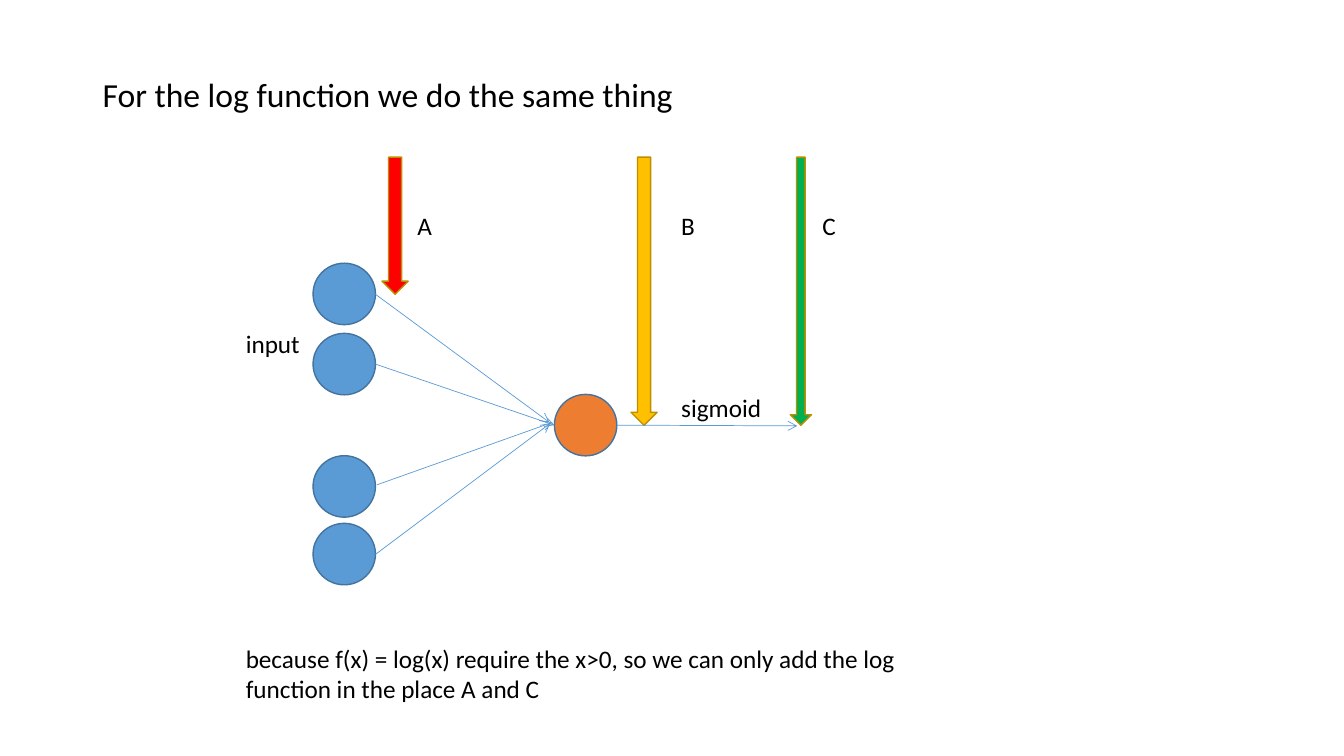
from dataclasses import dataclass

import lxml.etree
import pptx
import pptx.dml.color
import pptx.enum.shapes
import pptx.enum.text
import pptx.oxml.ns
import pptx.slide
import pptx.util

Pt = pptx.util.Pt
SHAPE = pptx.enum.shapes.MSO_SHAPE
ANCHOR = pptx.enum.text.MSO_ANCHOR

COLORS = {
    "text": "000000",
    "blue": "5B9BD5",
    "blue_edge": "43739E",
    "orange": "ED7D31",
    "red": "FF0000",
    "gold": "FFC000",
    "green": "00B050",
    "gold_edge": "BD8E00",
}
NODE_W, NODE_H = 44.6, 43.9
INPUT_X, OUTPUT_X, OUTPUT_Y = 223.6, 396, 281.7
ARROW_TOP, LABEL_TOP = 112.3, 146.9


@dataclass(frozen=True)
class Marker:
    x: float
    w: float
    h: float
    fill: str
    shaft: float
    label: str
    label_x: float


@dataclass(frozen=True)
class Node:
    x: float
    y: float
    fill: str


@dataclass(frozen=True)
class Link:
    x1: float
    y1: float
    x2: float
    y2: float


@dataclass(frozen=True)
class Label:
    x: float
    y: float
    w: float
    h: float
    text: str
    size: float = 18
    anchor: ANCHOR = ANCHOR.TOP
    spacing: float = 1.0


MARKERS = [
    Marker(564.5, 15.1, 191.5, "green", 0.405, "C", 580.3),
    Marker(272.9, 18.7, 97.9, "red", 0.5, "A", 291),
    Marker(450.7, 18.7, 191.5, "gold", 0.5, "B", 479.5),
]
NODES = [Node(INPUT_X, y, "blue") for y in (188, 238.1, 325.5, 373.8)]
NODES.append(Node(OUTPUT_X, OUTPUT_Y, "orange"))
LINKS = [
    Link(268.2, 210.2, 392.4, 301.7),
    Link(268.2, 260.1, 396, 303.7),
    Link(269.3, 346.3, 394.6, 301.7),
    Link(268.2, 396, 393.1, 302.4),
    Link(440.6, 303.7, 569.5, 304.2),
]
LABELS = [
    Label(66.2, 28.8, 461.5, 80.6, "For the log function we do the same thing",
          24, ANCHOR.MIDDLE, 0.9),
    Label(168.5, 231.1, 70.6, 29.1, "input"),
    Label(479.5, 276.5, 85.7, 29.1, "sigmoid"),
    Label(168.5, 455.8, 518.4, 50.9,
          "because f(x) = log(x) require the x>0, so we can only add the log "
          "function in the place A and C"),
]
LABELS += [Label(m.label_x, LABEL_TOP, 33.1, 29.1, m.label) for m in MARKERS]


def color(name: str) -> pptx.dml.color.RGBColor:
    return pptx.dml.color.RGBColor.from_string(COLORS[name])


def draw_shape(s: pptx.slide.Slide, kind: SHAPE, x: float, y: float, w: float,
               h: float, fill: str, edge: str, adjustments: tuple = ()) -> None:
    sp = s.shapes.add_shape(kind, Pt(x), Pt(y), Pt(w), Pt(h))
    sp.shadow.inherit = False
    for i, value in enumerate(adjustments):
        sp.adjustments[i] = value
    sp.fill.solid()
    sp.fill.fore_color.rgb = color(fill)
    sp.line.color.rgb = color(edge)
    sp.line.width = Pt(1)


def draw_marker(s: pptx.slide.Slide, m: Marker) -> None:
    draw_shape(s, SHAPE.DOWN_ARROW, m.x, ARROW_TOP, m.w, m.h, m.fill,
               "gold_edge", (m.shaft, 0.5))


def draw_node(s: pptx.slide.Slide, n: Node) -> None:
    draw_shape(s, SHAPE.OVAL, n.x, n.y, NODE_W, NODE_H, n.fill, "blue_edge")


def draw_link(s: pptx.slide.Slide, k: Link) -> None:
    sp = s.shapes.add_connector(pptx.enum.shapes.MSO_CONNECTOR.STRAIGHT,
                                Pt(k.x1), Pt(k.y1), Pt(k.x2), Pt(k.y2))
    sp.line.color.rgb = color("blue")
    sp.line.width = Pt(0.5)
    qn = pptx.oxml.ns.qn
    lxml.etree.SubElement(sp.line._get_or_add_ln(), qn("a:tailEnd"), type="arrow")
    lxml.etree.SubElement(sp._element.spPr, qn("a:effectLst"))


def draw_label(s: pptx.slide.Slide, t: Label) -> None:
    sp = s.shapes.add_textbox(Pt(t.x), Pt(t.y), Pt(t.w), Pt(t.h))
    tf = sp.text_frame
    tf.word_wrap = True
    tf.vertical_anchor = t.anchor
    p = tf.paragraphs[0]
    p.line_spacing = t.spacing
    r = p.add_run()
    r.text = t.text
    r.font.name = "Calibri"
    r.font.size = Pt(t.size)
    r.font.color.rgb = color("text")


def main() -> None:
    prs = pptx.Presentation()
    prs.slide_width, prs.slide_height = Pt(960), Pt(540)
    s = prs.slides.add_slide(prs.slide_layouts[6])
    for m in MARKERS:
        draw_marker(s, m)
    for n in NODES:
        draw_node(s, n)
    for k in LINKS:
        draw_link(s, k)
    for t in LABELS:
        draw_label(s, t)
    prs.save("out.pptx")


if __name__ == "__main__":
    main()
